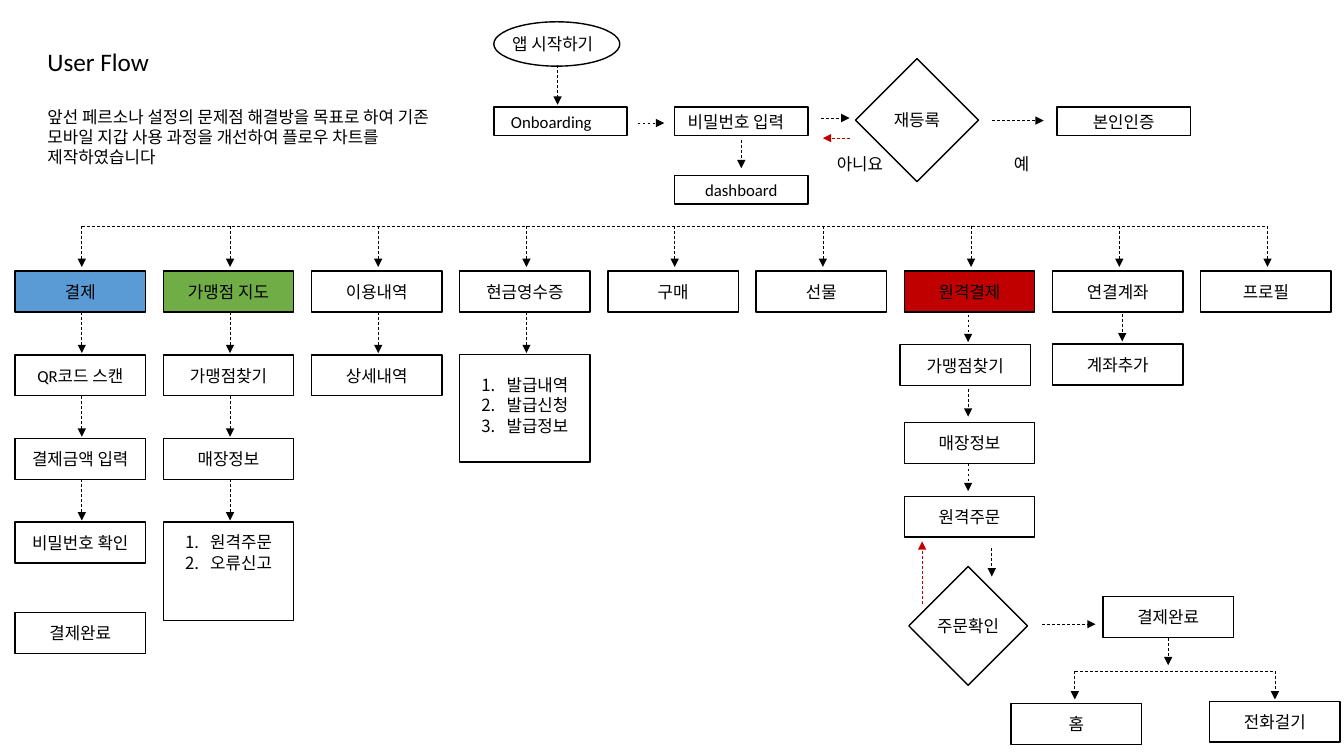
"""Build the user flow slide: an entry path, nine feature columns and their follow-up steps."""
import dataclasses
import typing

import lxml.etree
import pptx
import pptx.dml.color
import pptx.enum.dml
import pptx.enum.shapes
import pptx.enum.text
import pptx.oxml.ns
import pptx.util

Kind = pptx.enum.shapes.MSO_SHAPE
Align = pptx.enum.text.PP_ALIGN
Anchor = pptx.enum.text.MSO_ANCHOR


@dataclasses.dataclass(frozen=True)
class Theme:
    font: str = "Calibri"
    title_size: float = 18
    text_size: float = 12
    outline: float = 1
    dash: float = 0.5
    ink: str = "000000"
    blue: str = "5B9BD5"
    green: str = "70AD47"
    red: str = "C00000"


@dataclasses.dataclass(frozen=True)
class Grid:
    left: float = 0.15
    top: float = 2.69
    column: float = 1.47
    row: float = 0.83

    def point(self, column: float, row: float) -> tuple[int, int]:
        x, y = self.left + column * self.column, self.top + row * self.row
        return pptx.util.Inches(x), pptx.util.Inches(y)

    def size(self, columns: float, rows: float) -> tuple[int, int]:
        return pptx.util.Inches(columns * self.column), pptx.util.Inches(rows * self.row)


THEME = Theme()
GRID = Grid()


@dataclasses.dataclass(frozen=True)
class Node:
    text: str
    column: float
    row: float
    columns: float = 0.88
    rows: float = 0.49
    kind: Kind = Kind.RECTANGLE
    fill: typing.Optional[str] = None
    align: Align = Align.CENTER
    inset: float = 0
    list_top: float = 0


@dataclasses.dataclass(frozen=True)
class Link:
    start: tuple[float, float]
    end: tuple[float, float]
    color: str = THEME.ink
    arrow: bool = True


ENTRY = dict(columns=0.9, rows=0.34)
FEATURES = ["결제", "가맹점 지도", "이용내역", "현금영수증", "구매", "선물", "원격결제", "연결계좌", "프로필"]
FILLS = {0: THEME.blue, 1: THEME.green, 6: THEME.red}
NODES = [
    Node("앱 시작하기", 3.23, -2.98, 0.85, 0.53, Kind.OVAL, align=Align.LEFT),
    Node("Onboarding", 3.23, -1.96, align=Align.LEFT, inset=0.17, **ENTRY),
    Node("비밀번호 입력", 4.45, -1.96, align=Align.LEFT, inset=0.13, **ENTRY),
    Node("dashboard", 4.45, -1.14, **ENTRY),
    Node("재등록", 5.67, -2.54, 0.83, 1.47, Kind.DIAMOND),
    Node("본인인증", 7.03, -1.96, **ENTRY),
    *(Node(name, column, 0, fill=FILLS.get(column)) for column, name in enumerate(FEATURES)),
    Node("QR코드 스캔", 0, 1),
    Node("결제금액 입력", 0, 2),
    Node("비밀번호 확인", 0, 3),
    Node("결제완료", 0, 4.08),
    Node("가맹점찾기", 1, 1),
    Node("매장정보", 1, 2),
    Node("원격주문\n오류신고", 1, 3, rows=1.18, list_top=0.1),
    Node("상세내역", 2, 1),
    Node("발급내역\n발급신청\n발급정보", 3, 1, rows=1.28, list_top=0.2),
    Node("가맹점찾기", 5.97, 0.88),
    Node("매장정보", 6, 1.81),
    Node("원격주문", 6, 2.69),
    Node("주문확인", 6.03, 3.53, 0.8, 1.42, Kind.DIAMOND),
    Node("계좌추가", 7, 0.87),
    Node("결제완료", 7.34, 3.89),
    Node("홈", 6.72, 5.17),
    Node("전화걸기", 8.06, 5.14),
]
LABELS = [Node("아니요", 5.45, -1.46, 0.5, 0.36), Node("예", 6.54, -1.46, 0.5, 0.36)]

MIDDLE = 0.45
CHAINS = {0: 3, 1: 3, 2: 1, 3: 1}
LINKS = [
    Link((MIDDLE, -0.54), (len(FEATURES) - 1 + MIDDLE, -0.54), arrow=False),
    *(Link((column + MIDDLE, -0.54), (column + MIDDLE, -0.05)) for column in range(len(FEATURES))),
    *(Link((column + MIDDLE, step + 0.49), (column + MIDDLE, step + 0.98))
      for column, steps in CHAINS.items() for step in range(steps)),
    *(Link((6.43, row), (6.43, row + 0.33)) for row in (0.52, 1.41, 2.3)),
    Link((7.47, 0.51), (7.47, 0.84)),
    Link((3.66, -2.46), (3.66, -1.99)),
    Link((4.9, -1.57), (4.9, -1.23)),
    Link((4.2, -1.77), (4.38, -1.77)),
    Link((5.44, -1.83), (5.63, -1.83)),
    Link((5.63, -1.59), (5.45, -1.59), THEME.red),
    Link((6.59, -1.8), (6.94, -1.8)),
    Link((6.59, 3.31), (6.59, 3.65)),
    Link((6.12, 3.98), (6.12, 3.23), THEME.red),
    Link((6.93, 4.22), (7.29, 4.22)),
    Link((7.78, 4.39), (7.78, 4.71)),
    Link((7.15, 4.78), (8.5, 4.78), arrow=False),
    *(Link((column, 4.78), (column, 5.12)) for column in (7.15, 8.5)),
]


def rgb(color: str) -> pptx.dml.color.RGBColor:
    return pptx.dml.color.RGBColor.from_string(color)


def write(box, text: str, align: Align, size: float = THEME.text_size) -> None:
    frame = box.text_frame
    frame.text = text
    frame.word_wrap = True
    frame.auto_size = pptx.enum.text.MSO_AUTO_SIZE.NONE
    for para in frame.paragraphs:
        para.alignment = align
        para.space_before = pptx.util.Pt(0)
        for span in para.runs:
            span.font.name = THEME.font
            span.font.size = pptx.util.Pt(size)
            span.font.color.rgb = rgb(THEME.ink)


def set_bullet(para, tag: str, indent: float, **attributes: str) -> None:
    properties = para._p.get_or_add_pPr()
    properties.set("marL", str(pptx.util.Inches(indent)))
    properties.set("indent", str(-pptx.util.Inches(indent)))
    lxml.etree.SubElement(properties, pptx.oxml.ns.qn(tag), attributes)


def draw_node(page, node: Node) -> None:
    box = page.shapes.add_shape(
        node.kind, *GRID.point(node.column, node.row), *GRID.size(node.columns, node.rows))
    box.shadow.inherit = False
    box.line.color.rgb = rgb(THEME.ink)
    box.line.width = pptx.util.Pt(THEME.outline)
    if node.fill:
        box.fill.solid()
        box.fill.fore_color.rgb = rgb(node.fill)
    else:
        box.fill.background()
    write(box, node.text, node.align)
    frame = box.text_frame
    frame.margin_right = frame.margin_bottom = 0
    frame.margin_left = pptx.util.Inches(node.inset)
    frame.margin_top = pptx.util.Inches(node.list_top)
    frame.vertical_anchor = Anchor.TOP if node.list_top else Anchor.MIDDLE
    frame.word_wrap = node.kind != Kind.DIAMOND
    if node.list_top:
        for para in frame.paragraphs:
            set_bullet(para, "a:buAutoNum", 0.25, type="arabicPeriod")


def draw_label(page, label: Node) -> None:
    box = page.shapes.add_textbox(
        *GRID.point(label.column, label.row), *GRID.size(label.columns, label.rows))
    write(box, label.text, label.align)


def draw_link(page, link: Link) -> None:
    line = page.shapes.add_connector(
        pptx.enum.shapes.MSO_CONNECTOR.STRAIGHT, *GRID.point(*link.start), *GRID.point(*link.end))
    line.line.color.rgb = rgb(link.color)
    line.line.width = pptx.util.Pt(THEME.dash)
    line.line.dash_style = pptx.enum.dml.MSO_LINE.DASH
    if link.arrow:
        lxml.etree.SubElement(
            line.line._get_or_add_ln(), pptx.oxml.ns.qn("a:tailEnd"), type="triangle")
    lxml.etree.SubElement(line._element.spPr, pptx.oxml.ns.qn("a:effectLst"))


def fill_placeholder(box, text: str, top: float, height: float, size: float) -> None:
    box.left, box.top = pptx.util.Inches(0.37), pptx.util.Inches(top)
    box.width, box.height = pptx.util.Inches(4.12), pptx.util.Inches(height)
    write(box, text, Align.LEFT, size)
    box.text_frame.vertical_anchor = Anchor.TOP
    set_bullet(box.text_frame.paragraphs[0], "a:buNone", 0)


def main() -> None:
    deck = pptx.Presentation()
    deck.slide_width, deck.slide_height = pptx.util.Inches(13.33), pptx.util.Inches(7.5)
    page = deck.slides.add_slide(deck.slide_layouts[1])
    fill_placeholder(page.shapes.title, "User Flow", 0.41, 0.4, THEME.title_size)
    summary = "앞선 페르소나 설정의 문제점 해결방을 목표로 하여 기존 모바일 지갑 사용 과정을 개선하여 플로우 차트를 제작하였습니다"
    fill_placeholder(page.placeholders[1], summary, 1.01, 0.71, THEME.text_size)
    for draw, items in ((draw_node, NODES), (draw_label, LABELS), (draw_link, LINKS)):
        for item in items:
            draw(page, item)
    deck.save("out.pptx")


if __name__ == "__main__":
    main()
